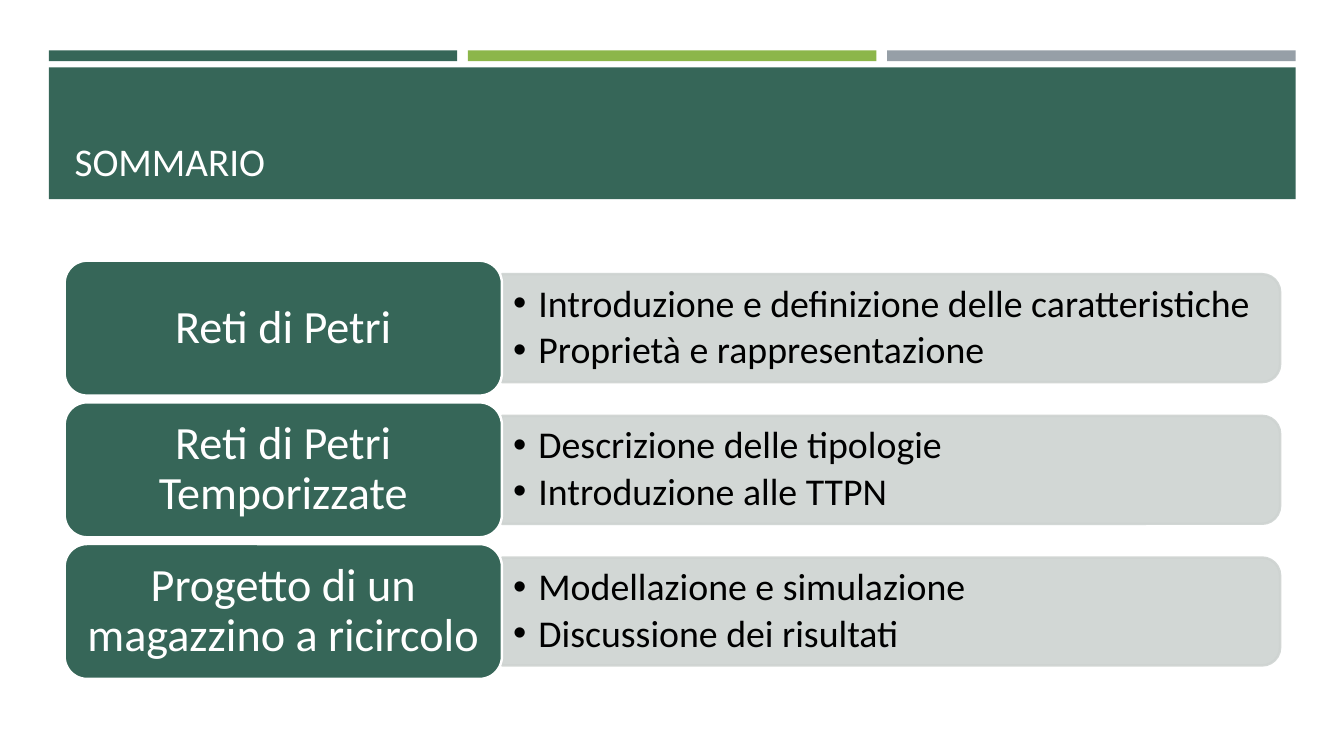
from lxml import etree
from pptx import Presentation
from pptx import util as u
from pptx.dml.color import RGBColor
from pptx.enum import shapes, text
from pptx.oxml import ns

Cm, Pt = u.Cm, u.Pt
SHAPE = shapes.MSO_SHAPE
COLORS = {"green": "366658", "lime": "8CB64A", "grey": "969FA7",
          "panel": "CED3D1", "white": "FFFFFF", "black": "000000"}
FONT = "Calibri"
TOPICS = [
    ("Reti di Petri", ["Introduzione e definizione delle caratteristiche",
                       "Proprietà e rappresentazione"]),
    ("Reti di Petri Temporizzate", ["Descrizione delle tipologie",
                                    "Introduzione alle TTPN"]),
    ("Progetto di un magazzino a ricircolo", ["Modellazione e simulazione",
                                              "Discussione dei risultati"]),
]


def rgb(name):
    return RGBColor.from_string(COLORS[name])


def add_box(s, kind, left, top, width, height, fill, line=None):
    sp = s.shapes.add_shape(kind, Cm(left), Cm(top), Cm(width), Cm(height))
    sp.shadow.inherit = False
    sp.fill.solid()
    sp.fill.fore_color.rgb = rgb(fill)
    if line:
        sp.line.color.rgb = rgb(line)
        sp.line.width = Pt(1.75)
    else:
        sp.line.fill.background()
    return sp


def write(sp, lines, size, color, anchor, align, inset):
    """Fill a shape with equally styled paragraphs and return them."""
    tf = sp.text_frame
    tf.word_wrap = True
    tf.vertical_anchor = anchor
    tf.margin_left = tf.margin_right = Cm(inset)
    tf.margin_top = tf.margin_bottom = Cm(inset / 2)
    tf.text = "\n".join(lines)
    for p in tf.paragraphs:
        p.alignment = align
        p.line_spacing = 0.9
        p.font.name, p.font.size = FONT, Pt(size)
        p.font.color.rgb = rgb(color)
    return tf.paragraphs


def add_bullet(p, indent):
    pPr = p._p.get_or_add_pPr()
    pPr.set("marL", str(Cm(indent)))
    pPr.set("indent", str(-Cm(indent)))
    font = etree.Element(ns.qn("a:buFont"), typeface="Arial")
    char = etree.Element(ns.qn("a:buChar"), char="•")
    defaults = pPr.find(ns.qn("a:defRPr"))
    defaults.addprevious(font)
    defaults.addprevious(char)


def set_opacity(sp, percent):
    """Apply one opacity to both fill and line."""
    for color in sp._element.spPr.iter(ns.qn("a:srgbClr")):
        etree.SubElement(color, ns.qn("a:alpha"), val=str(percent * 1000))


def add_header(s, left, top, width, height):
    gap, bar_height, band_offset = 0.27, 0.27, 0.43
    bar = (width - 2 * gap) / 3
    for i, color in enumerate(["green", "lime", "grey"]):
        add_box(s, SHAPE.RECTANGLE, left + i * (bar + gap), top,
                bar, bar_height, color)
    band_top, band_height = top + band_offset, height - band_offset
    add_box(s, SHAPE.RECTANGLE, left, band_top, width, band_height, "green")
    title = s.shapes.add_textbox(Cm(left + 0.4), Cm(band_top + 0.25),
                                 Cm(width - 0.8), Cm(band_height - 0.48))
    write(title, ["SOMMARIO"], 28, "white", text.MSO_ANCHOR.BOTTOM,
          text.PP_ALIGN.LEFT, 0.25)


def add_topic(s, left, top, width, height, name, points):
    label_width, panel_height = 11.02, 2.72
    panel_left, panel_width = left + label_width, width - label_width
    panel_top = top + (height - panel_height) / 2
    # Turned a quarter so that the two rounded corners face right
    panel = add_box(s, SHAPE.ROUND_2_SAME_RECTANGLE,
                    panel_left + (panel_width - panel_height) / 2,
                    panel_top + (panel_height - panel_width) / 2,
                    panel_height, panel_width, "panel", "panel")
    panel.rotation = 90
    set_opacity(panel, 90)
    details = s.shapes.add_textbox(Cm(panel_left), Cm(panel_top),
                                   Cm(panel_width), Cm(panel_height))
    for p in write(details, points, 27, "black", text.MSO_ANCHOR.MIDDLE,
                   text.PP_ALIGN.LEFT, 0.28):
        p.space_after = Pt(4)
        add_bullet(p, 0.64)
    label = add_box(s, SHAPE.ROUNDED_RECTANGLE, left, top,
                    label_width, height, "green", "white")
    # The rounded corners already add about 0.17 cm to the inset
    write(label, [name], 33, "white", text.MSO_ANCHOR.MIDDLE,
          text.PP_ALIGN.CENTER, 0.34)


def add_topics(s, left, top, width, height):
    gap = 0.17
    row = (height - gap * (len(TOPICS) - 1)) / len(TOPICS)
    for i, (name, points) in enumerate(TOPICS):
        add_topic(s, left, top + i * (row + gap), width, row, name, points)


def main():
    prs = Presentation()
    prs.slide_width, prs.slide_height = Cm(33.87), Cm(19.05)
    s = prs.slides.add_slide(prs.slide_layouts[6])
    add_header(s, 1.23, 1.27, 31.42, 3.75)
    add_topics(s, 1.63, 6.57, 30.63, 10.54)
    prs.save("out.pptx")


if __name__ == "__main__":
    main()
